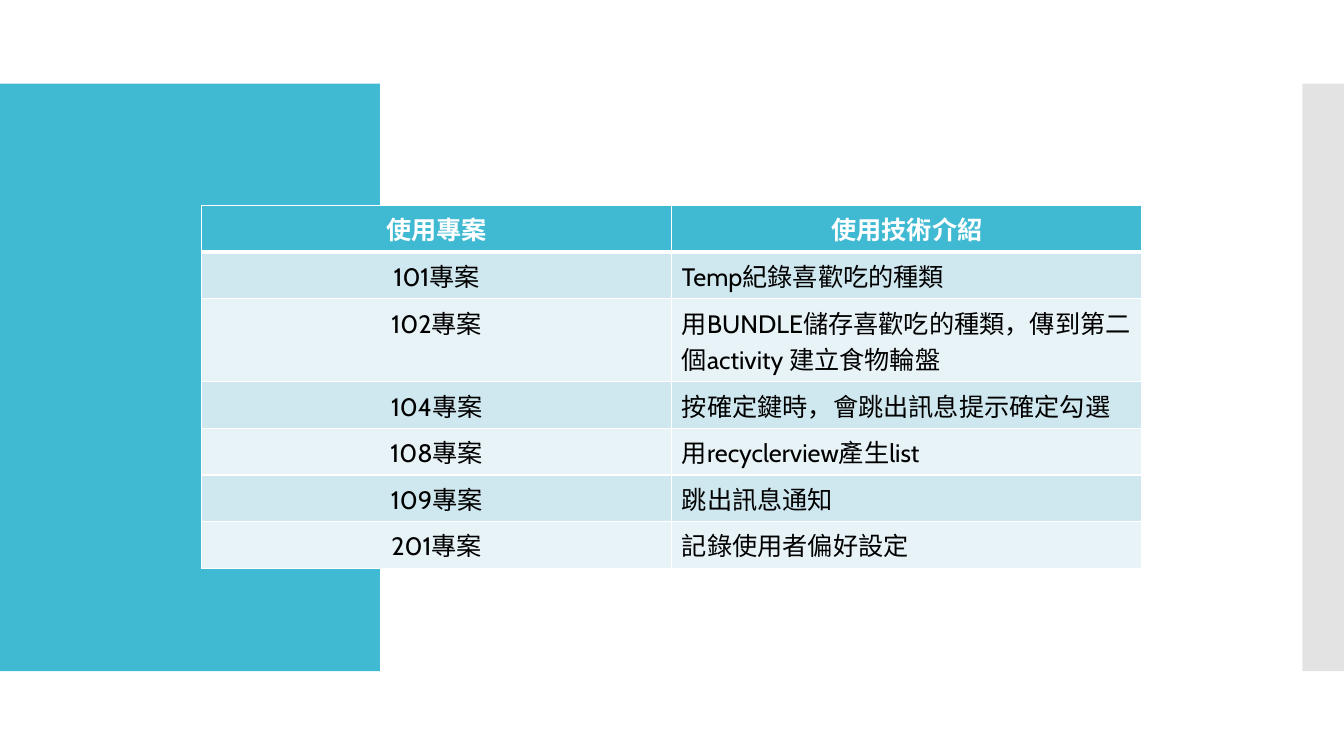
"""Build a slide with a table of projects and the techniques they use."""
from lxml.etree import SubElement
from pptx import Presentation
from pptx.dml.color import RGBColor
from pptx.enum.shapes import MSO_SHAPE
from pptx.enum.text import PP_ALIGN
from pptx.oxml.ns import qn
from pptx.util import Inches, Pt

TEAL, GREY, WHITE, BLACK = "40BAD2", "C8C8C8", "FFFFFF", "000000"
BANDS = ["CFE7EE", "E8F3F7"]
ROWS = [
    ("使用專案", "使用技術介紹"),
    ("101專案", "Temp紀錄喜歡吃的種類"),
    ("102專案", "用BUNDLE儲存喜歡吃的種類，傳到第二個activity 建立食物輪盤"),
    ("104專案", "按確定鍵時，會跳出訊息提示確定勾選"),
    ("108專案", "用recyclerview產生list"),
    ("109專案", "跳出訊息通知"),
    ("201專案", "記錄使用者偏好設定"),
]


def paint(fill, color):
    fill.solid()
    fill.fore_color.rgb = RGBColor.from_string(color)


def add_border(cell, side, points):
    line = SubElement(cell._tc.get_or_add_tcPr(), qn(f"a:ln{side}"), w=str(Pt(points)))
    SubElement(SubElement(line, qn("a:solidFill")), qn("a:srgbClr"), val=WHITE)


presentation = Presentation()
presentation.slide_width, presentation.slide_height = Inches(13.333), Inches(7.5)
slide = presentation.slides.add_slide(presentation.slide_layouts[6])

for left, width, color in [(0, 3.77, TEAL), (12.92, 0.42, GREY)]:
    panel = slide.shapes.add_shape(
        MSO_SHAPE.RECTANGLE, Inches(left), Inches(0.83), Inches(width), Inches(5.83))
    panel.shadow.inherit = False
    panel.line.fill.background()
    paint(panel.fill, color)
    if color == GREY:
        tint = panel.fill._xPr.find(".//" + qn("a:srgbClr"))
        SubElement(tint, qn("a:alpha"), val="50000")

table = slide.shapes.add_table(
    len(ROWS), 2, Inches(2), Inches(2.04), Inches(9.33), Inches(0.41 * len(ROWS))).table

for row, texts in enumerate(ROWS):
    header = row == 0
    widths = {"L": 1, "R": 1, "T": 3 if row == 1 else 1, "B": 3 if header else 1}
    font_format = {"name": "Cabin", "size": Pt(18), "bold": header}
    for column, text in enumerate(texts):
        cell = table.cell(row, column)
        for side, points in widths.items():
            add_border(cell, side, points)
        paint(cell.fill, TEAL if header else BANDS[(row - 1) % 2])
        cell.text = text
        paragraph = cell.text_frame.paragraphs[0]
        paragraph.alignment = PP_ALIGN.CENTER if header or column == 0 else PP_ALIGN.LEFT
        font = paragraph.runs[0].font
        for name, value in font_format.items():
            setattr(font, name, value)
        paint(font.fill, WHITE if header else BLACK)

presentation.save("out.pptx")
